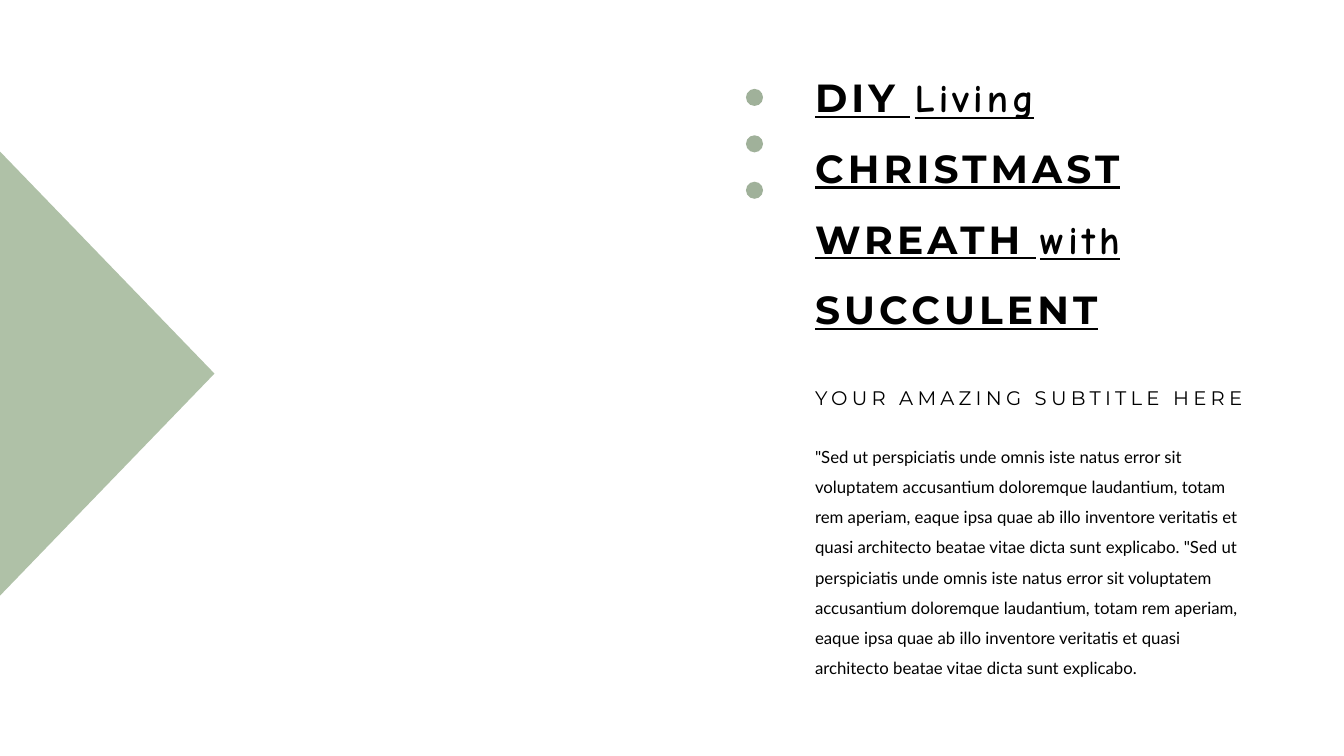
"""Build the living Christmas wreath title slide."""
from dataclasses import dataclass

from pptx import Presentation, util as u
from pptx.dml.color import RGBColor
from pptx.enum import shapes, text

COLORS = {"ink": "000000", "dot": "A0B19A", "triangle": "AFC1A7"}
TEXT_LEFT = 20.29
SENTENCE = (
    '"Sed ut perspiciatis unde omnis iste natus error sit voluptatem '
    "accusantium doloremque laudantium, totam rem aperiam, eaque ipsa quae ab "
    "illo inventore veritatis et quasi architecto beatae vitae dicta sunt explicabo."
)


@dataclass
class Box:
    left: float
    top: float
    width: float
    height: float

    def lengths(self) -> list[u.Length]:
        return [u.Cm(v) for v in (self.left, self.top, self.width, self.height)]


@dataclass
class Figure:
    kind: shapes.MSO_SHAPE
    box: Box
    color: str
    rotation: float = 0


def add_text(s, box: Box, paragraphs: list[list[tuple[str, str]]], *, size: float,
             bold: bool = False, underline: bool = False, spacing: float = 0,
             before: float = 0, grow: bool = False) -> None:
    """Add a text box whose paragraphs are lists of (text, font) runs."""
    tf = s.shapes.add_textbox(*box.lengths()).text_frame
    tf.word_wrap = True
    if grow:
        tf.auto_size = text.MSO_AUTO_SIZE.SHAPE_TO_FIT_TEXT
    for i, runs in enumerate(paragraphs):
        p = tf.add_paragraph() if i else tf.paragraphs[0]
        p.line_spacing = 1.5
        p.space_before = u.Pt(before)
        for words, font in runs:
            r = p.add_run()
            r.text = words
            r.font.name = font
            r.font.size = u.Pt(size)
            r.font.bold = bold
            r.font.underline = underline
            r.font.color.rgb = RGBColor.from_string(COLORS["ink"])
            if spacing:
                r._r.get_or_add_rPr().set("spc", str(round(spacing * 100)))


def add_figure(s, figure: Figure) -> None:
    """Draw a filled shape without outline or shadow."""
    sp = s.shapes.add_shape(figure.kind, *figure.box.lengths())
    sp.rotation = figure.rotation
    sp.shadow.inherit = False
    sp.fill.solid()
    sp.fill.fore_color.rgb = RGBColor.from_string(COLORS[figure.color])
    sp.line.fill.background()


prs = Presentation()
prs.slide_width, prs.slide_height = u.Cm(33.87), u.Cm(19.05)
s = prs.slides.add_slide(prs.slide_layouts[6])

title = [
    [("DIY ", "Montserrat"), ("Living", "Comic Neue"), (" CHRISTMAST", "Montserrat")],
    [("WREATH ", "Montserrat"), ("with", "Comic Neue"), (" SUCCULENT", "Montserrat")],
]
add_text(s, Box(TEXT_LEFT, 1.14, 11.48, 9.25), title,
         size=28, bold=True, underline=True, spacing=3, grow=True)
add_text(s, Box(TEXT_LEFT, 10.87, 11.2, 6.86), [[(f"{SENTENCE} {SENTENCE}", "Lato")]],
         size=12, before=10)
add_text(s, Box(TEXT_LEFT, 9.3, 11.96, 1.57),
         [[("YOUR AMAZING SUBTITLE HERE", "Montserrat")]], size=14, spacing=3, before=10)

dots = [Figure(shapes.MSO_SHAPE.OVAL, Box(18.8, 2.24 + 1.17 * i, 0.43, 0.43), "dot")
        for i in range(3)]
triangle = Figure(shapes.MSO_SHAPE.ISOSCELES_TRIANGLE, Box(-2.9, 6.71, 11.2, 5.41),
                  "triangle", rotation=90)
for figure in [*dots, triangle]:
    add_figure(s, figure)

prs.save("out.pptx")
